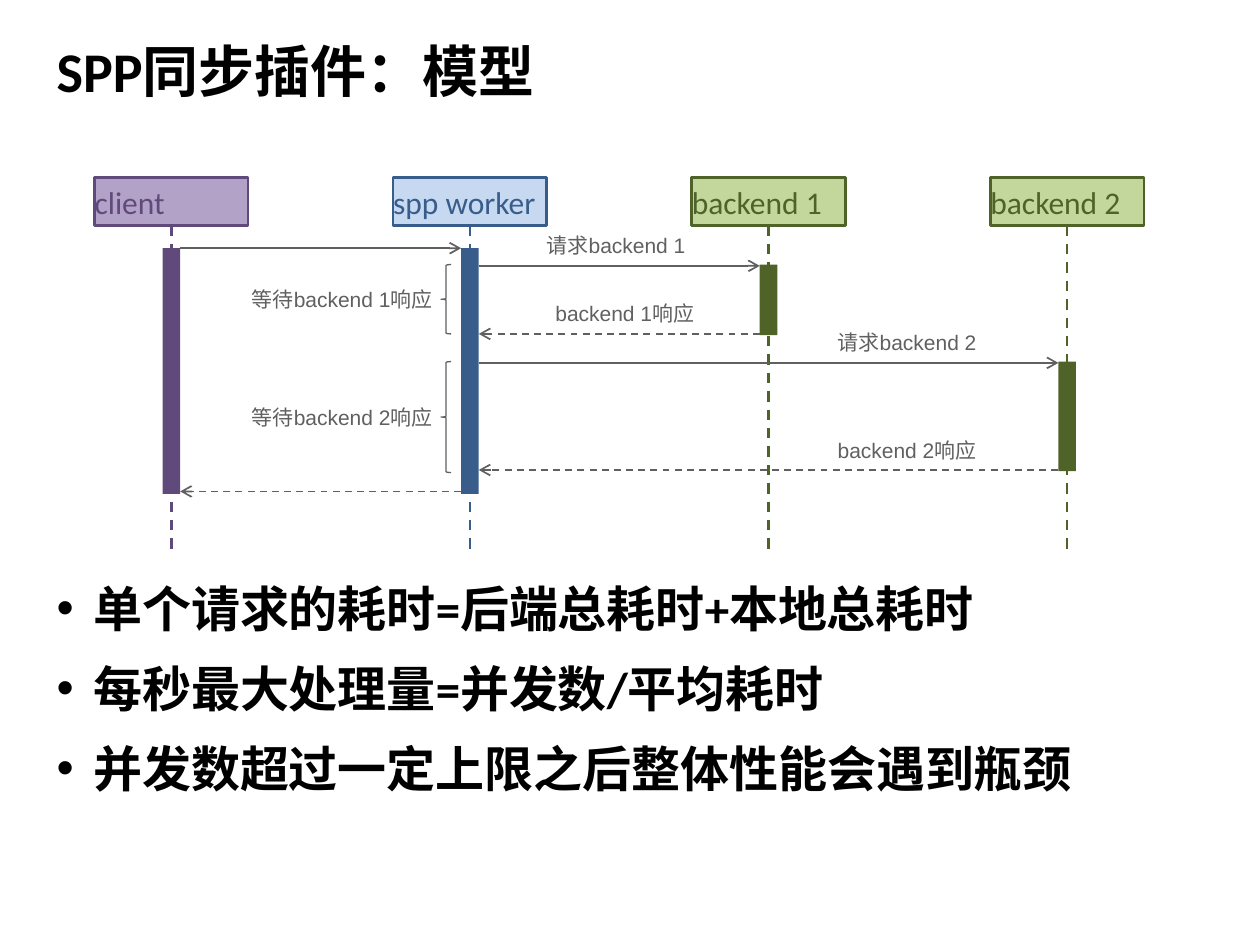
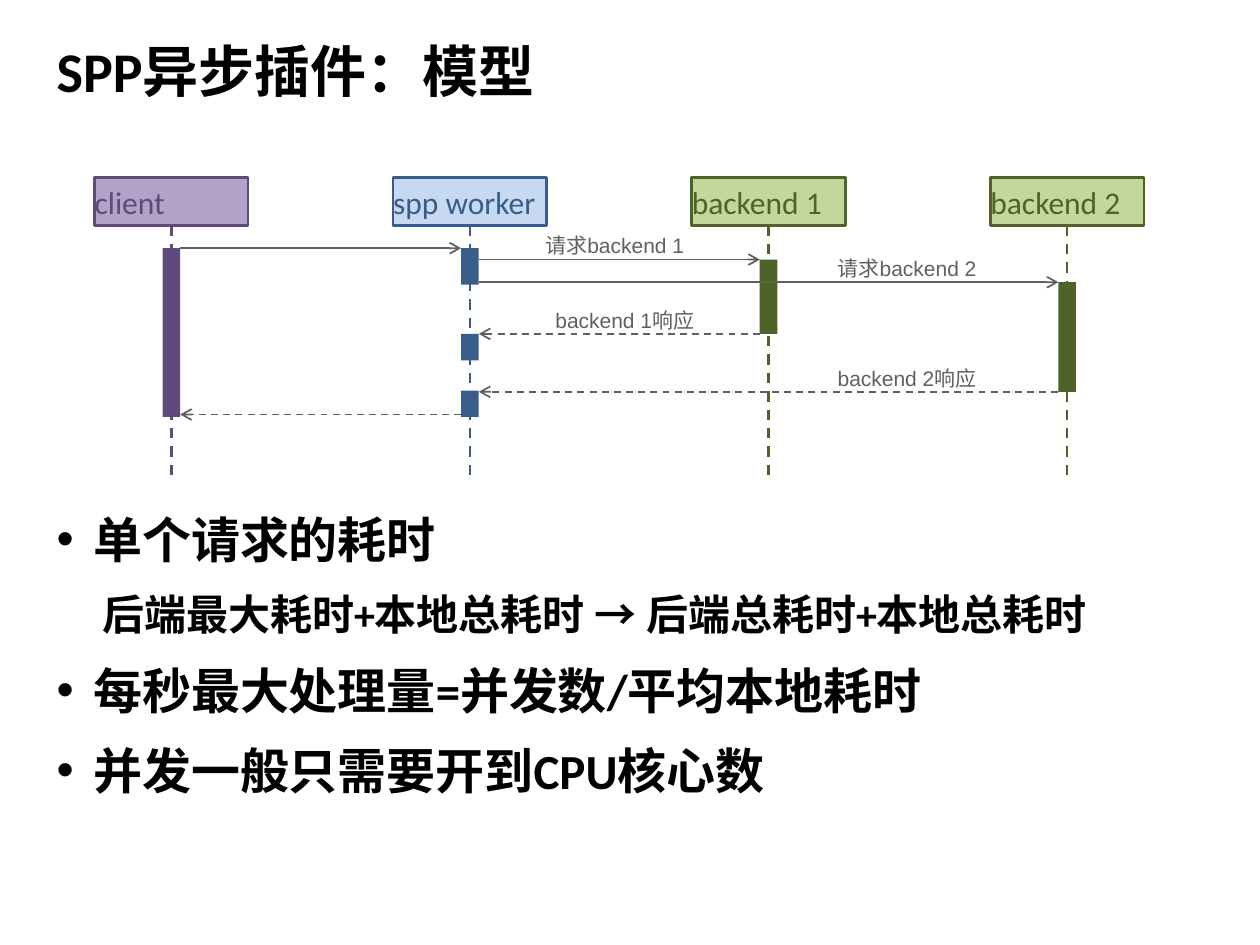
"""Two sequence-diagram slides comparing synchronous and asynchronous plugins."""
from collections import namedtuple

from lxml import etree
from pptx import Presentation, util as u
from pptx.dml.color import RGBColor
from pptx.enum import dml, shapes, text
from pptx.oxml import ns

SLIDE_W, SLIDE_H = u.Inches(10), u.Inches(7.5)
COL, ROW = SLIDE_W / 100, SLIDE_H / 75

BLACK = RGBColor(0x00, 0x00, 0x00)
GREY = RGBColor(0x60, 0x60, 0x60)
PURPLE, LILAC = RGBColor(0x60, 0x4A, 0x7B), RGBColor(0xB3, 0xA2, 0xC7)
BLUE, SKY = RGBColor(0x38, 0x5D, 0x8A), RGBColor(0xC6, 0xD9, 0xF1)
GREEN, LIME = RGBColor(0x4F, 0x62, 0x28), RGBColor(0xC3, 0xD6, 0x9B)

Box = namedtuple("Box", "left top width height")
Lane = namedtuple("Lane", "name dark light")
Message = namedtuple("Message", "source target row caption caption_col", defaults=("", 0))

CLIENT, WORKER, BACKEND_1, BACKEND_2 = range(4)
LANES = [
    Lane("client", PURPLE, LILAC),
    Lane("spp worker", BLUE, SKY),
    Lane("backend 1", GREEN, LIME),
    Lane("backend 2", GREEN, LIME),
]
LANE_PITCH, HEAD_W, HEAD_H, BAR_W = 23.7, 12.2, 3.8, 1.4
CAPTION_W, CAPTION_H = 13.4, 3
WAIT_W, WAIT_COL, BRACE_COL, BRACE_W = 17.1, 11.5, 27.5, 0.8
TITLE_BOX = Box(3.5, 1.3, 90, 8.5)
DIAGRAM_LEFT, DIAGRAM_TOP, DIAGRAM_W = 7.5, 14.1, 83.4
BODY_LEFT, BODY_W, BODY_BOTTOM, BODY_GAP = 3.5, 90, 65.9, 1.6

SYNC = dict(
    title="SPP同步插件：模型",
    rows=29.7,
    caption_lift=3.1,
    bars=[(CLIENT, 5.6, 25.1), (WORKER, 5.6, 25.1), (BACKEND_1, 6.9, 12.5), (BACKEND_2, 14.6, 23.3)],
    messages=[
        Message(CLIENT, WORKER, 5.6),
        Message(WORKER, BACKEND_1, 7, "请求backend 1", 34.9),
        Message(BACKEND_1, WORKER, 12.4, "backend 1响应", 35.6),
        Message(WORKER, BACKEND_2, 14.7, "请求backend 2", 58),
        Message(BACKEND_2, WORKER, 23.2, "backend 2响应", 58),
        Message(WORKER, CLIENT, 24.9),
    ],
    waits=[("等待backend 1响应", 6.9, 12.4), ("等待backend 2响应", 14.6, 23.4)],
    points=["单个请求的耗时=后端总耗时+本地总耗时", "每秒最大处理量=并发数/平均耗时",
            "并发数超过一定上限之后整体性能会遇到瓶颈"],
)
ASYNC = dict(
    title="SPP异步插件：模型",
    rows=24.2,
    caption_lift=2.6,
    bars=[(CLIENT, 5.6, 19), (WORKER, 5.6, 8.5), (WORKER, 12.4, 14.5), (WORKER, 16.9, 19),
          (BACKEND_1, 6.5, 12.4), (BACKEND_2, 8.3, 17)],
    messages=[
        Message(CLIENT, WORKER, 5.6),
        Message(WORKER, BACKEND_1, 6.5, "请求backend 1", 34.8),
        Message(WORKER, BACKEND_2, 8.3, "请求backend 2", 58),
        Message(BACKEND_1, WORKER, 12.4, "backend 1响应", 35.6),
        Message(BACKEND_2, WORKER, 17, "backend 2响应", 58),
        Message(WORKER, CLIENT, 18.8),
    ],
    waits=[],
    points=["单个请求的耗时", ("后端最大耗时+本地总耗时 ", "→ ", "后端总耗时+本地总耗时"),
            "每秒最大处理量=并发数/平均本地耗时", "并发一般只需要开到CPU核心数"],
)


def emu(box):
    """Convert a box of grid columns and rows to slide lengths."""
    return (round(box.left * COL), round(box.top * ROW),
            round(box.width * COL), round(box.height * ROW))


def within(area, left, top, width, height):
    """Return a box placed relative to the corner of an area."""
    return Box(area.left + left, area.top + top, width, height)


def set_font(font, size, color, name="Calibri", bold=False):
    """Give a font its size, colour, typeface and weight."""
    font.size, font.name, font.bold = u.Pt(size), name, bold
    font.color.rgb = color


def add_preset(slide, kind, box, fill=None, line=None, weight=1.5):
    """Add a flat preset shape; a missing fill or line is left empty."""
    shape = slide.shapes.add_shape(kind, *emu(box))
    shape.shadow.inherit = False
    if fill is None:
        shape.fill.background()
    else:
        shape.fill.solid()
        shape.fill.fore_color.rgb = fill
    if line is None:
        shape.line.fill.background()
    else:
        shape.line.color.rgb = line
        shape.line.width = u.Pt(weight)
    return shape


def add_line(slide, start, end, color, weight, dashed, arrow=False):
    """Draw a straight line between two grid points."""
    points = [round(v * unit) for point in (start, end) for v, unit in zip(point, (COL, ROW))]
    link = slide.shapes.add_connector(shapes.MSO_CONNECTOR.STRAIGHT, *points)
    link.line.color.rgb = color
    link.line.width = u.Pt(weight)
    if dashed:
        link.line.dash_style = dml.MSO_LINE.DASH
    if arrow:
        etree.SubElement(link.line._get_or_add_ln(), ns.qn("a:tailEnd"), type="arrow")
    etree.SubElement(link._element.spPr, ns.qn("a:effectLst"))


def add_caption(slide, box, words):
    """Add a small grey caption on one line."""
    frame = slide.shapes.add_textbox(*emu(box)).text_frame
    frame.word_wrap = False
    frame.auto_size = text.MSO_AUTO_SIZE.SHAPE_TO_FIT_TEXT
    frame.text = words
    set_font(frame.paragraphs[0].font, 12, GREY, "Arial")


def lane_center(lane):
    """Return the column of a lifeline inside the diagram."""
    return lane * LANE_PITCH + HEAD_W / 2


def draw_lane(slide, area, index):
    """Draw one participant's head and its dashed lifeline."""
    lane = LANES[index]
    head = add_preset(slide, shapes.MSO_SHAPE.RECTANGLE,
                      within(area, index * LANE_PITCH, 0, HEAD_W, HEAD_H), lane.light, lane.dark)
    frame = head.text_frame
    frame.margin_left = frame.margin_right = 0
    frame.vertical_anchor = text.MSO_ANCHOR.MIDDLE
    frame.text = lane.name
    frame.paragraphs[0].alignment = text.PP_ALIGN.LEFT
    set_font(frame.paragraphs[0].font, 18, lane.dark)
    x = area.left + lane_center(index)
    add_line(slide, (x, area.top + HEAD_H), (x, area.top + area.height), lane.dark, 1.5, True)


def draw_message(slide, area, message, lift):
    """Draw an arrow between two bars with its caption above; replies are dashed."""
    reply = message.target < message.source
    edge = -BAR_W / 2 if reply else BAR_W / 2
    y = area.top + message.row
    add_line(slide, (area.left + lane_center(message.source) + edge, y),
             (area.left + lane_center(message.target) - edge, y), GREY, 1, reply, True)
    if message.caption:
        add_caption(slide, within(area, message.caption_col, message.row - lift,
                                  CAPTION_W, CAPTION_H), message.caption)


def draw_wait(slide, area, words, start, end):
    """Draw a brace over a waiting period with its caption centred beside it."""
    add_preset(slide, shapes.MSO_SHAPE.LEFT_BRACE,
               within(area, BRACE_COL, start, BRACE_W, end - start), line=GREY, weight=0.75)
    add_caption(slide, within(area, WAIT_COL, (start + end - CAPTION_H) / 2, WAIT_W, CAPTION_H), words)


def draw_diagram(slide, area, model):
    """Draw the whole sequence diagram in its area."""
    for index in range(len(LANES)):
        draw_lane(slide, area, index)
    for lane, start, end in model["bars"]:
        add_preset(slide, shapes.MSO_SHAPE.RECTANGLE,
                   within(area, lane_center(lane) - BAR_W / 2, start, BAR_W, end - start),
                   LANES[lane].dark)
    for message in model["messages"]:
        draw_message(slide, area, message, model["caption_lift"])
    for wait in model["waits"]:
        draw_wait(slide, area, *wait)


def place(holder, box):
    """Move a placeholder to a box and return its text frame."""
    holder.left, holder.top, holder.width, holder.height = emu(box)
    holder.text_frame.word_wrap = True
    holder.text_frame.auto_size = text.MSO_AUTO_SIZE.NONE
    return holder.text_frame


def write_title(slide, box, words):
    """Write the bold left-aligned slide title."""
    frame = place(slide.shapes.title, box)
    frame.vertical_anchor = text.MSO_ANCHOR.MIDDLE
    frame.text = words
    frame.paragraphs[0].alignment = text.PP_ALIGN.LEFT
    set_font(frame.paragraphs[0].font, 32, BLACK, bold=True)


def write_points(slide, box, points):
    """Write the bulleted list; a tuple becomes an unbulleted detail line."""
    frame = place(slide.placeholders[1], box)
    for index, point in enumerate(points):
        line = frame.add_paragraph() if index else frame.paragraphs[0]
        line.space_before = line.space_after = u.Pt(6)
        props = line._p.get_or_add_pPr()
        if isinstance(point, tuple):
            props.set("marL", str(u.Inches(0.36)))
            props.set("indent", "0")
            etree.SubElement(props, ns.qn("a:buNone"))
            for part in point:
                run = line.add_run()
                run.text = part
                set_font(run.font, 24, BLACK, "Arial" if "→" in part else "Calibri", True)
        else:
            props.set("marL", str(u.Inches(0.29)))
            props.set("indent", str(-u.Inches(0.29)))
            line.text = point
            set_font(line.font, 28, BLACK, bold=True)


def build_model_slide(deck, model):
    """Add a slide with a title, a sequence diagram and its conclusions."""
    slide = deck.slides.add_slide(deck.slide_layouts[1])
    area = Box(DIAGRAM_LEFT, DIAGRAM_TOP, DIAGRAM_W, model["rows"])
    body_top = area.top + area.height + BODY_GAP
    write_title(slide, TITLE_BOX, model["title"])
    draw_diagram(slide, area, model)
    write_points(slide, Box(BODY_LEFT, body_top, BODY_W, BODY_BOTTOM - body_top), model["points"])


def main():
    """Build and save the deck."""
    deck = Presentation()
    deck.slide_width, deck.slide_height = SLIDE_W, SLIDE_H
    for model in (SYNC, ASYNC):
        build_model_slide(deck, model)
    deck.save("out.pptx")


if __name__ == "__main__":
    main()
